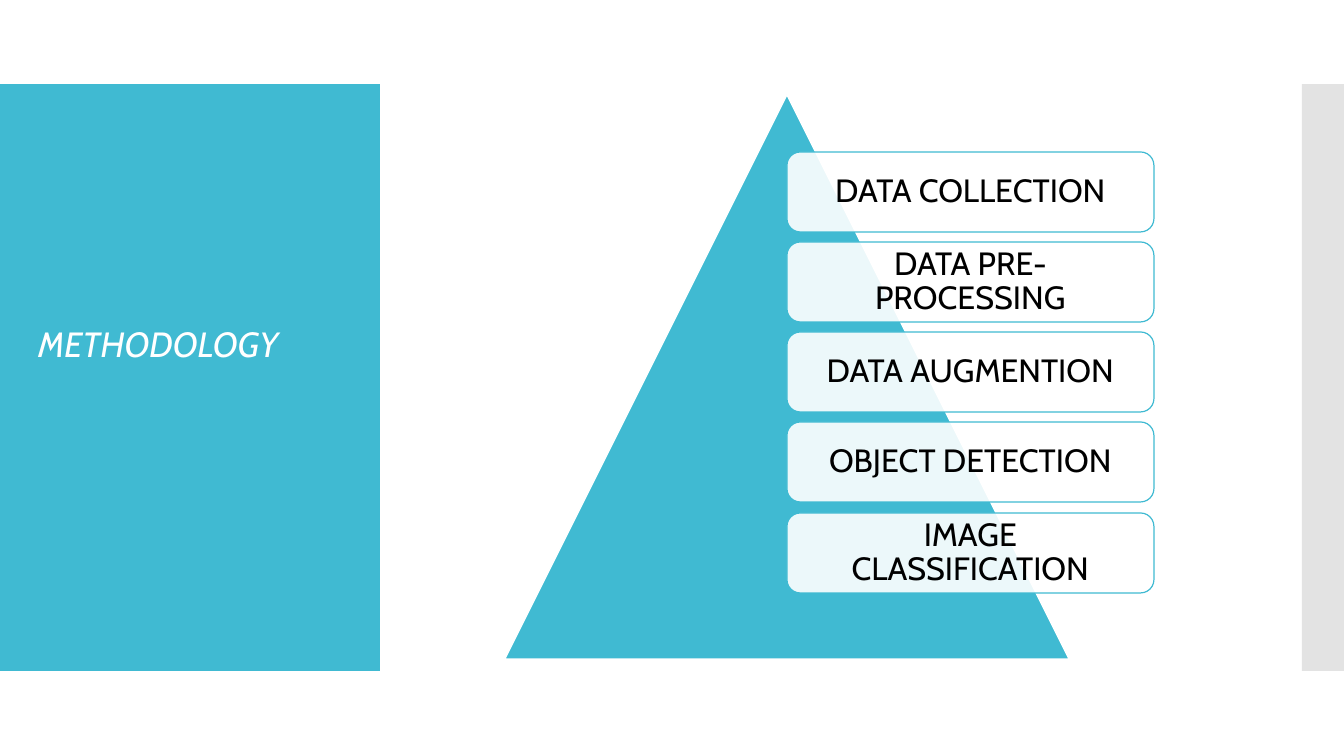
from lxml import etree
from pptx import Presentation
from pptx import util as u
from pptx.dml.color import RGBColor
from pptx.enum import shapes, text
from pptx.oxml.ns import qn

EMU_PER_PX = 914400 / 100.8
TEAL = RGBColor(0x40, 0xBA, 0xD2)
GREY = RGBColor(0xC8, 0xC8, 0xC8)
WHITE = RGBColor(0xFF, 0xFF, 0xFF)
BLACK = RGBColor(0, 0, 0)

STEPS = ["DATA COLLECTION", "DATA PRE-PROCESSING", "DATA AUGMENTION",
         "OBJECT DETECTION", "IMAGE CLASSIFICATION"]
FIRST_TOP, LAST_TOP = 152, 513


def px(n):
    return u.Emu(round(n * EMU_PER_PX))


class Deck:
    font = "Cabin"
    line_width = u.Pt(0.85)

    def __init__(self, width, height):
        self.prs = Presentation()
        self.prs.slide_width, self.prs.slide_height = px(width), px(height)
        self.slide = self.prs.slides.add_slide(self.prs.slide_layouts[5])

    def shape(self, kind, x, y, w, h, fill, line=None, opacity=100):
        sp = self.slide.shapes.add_shape(kind, px(x), px(y), px(w), px(h))
        sp.shadow.inherit = False
        sp.fill.solid()
        sp.fill.fore_color.rgb = fill
        if opacity < 100:
            color = sp._element.spPr.find(qn("a:solidFill"))[0]
            etree.SubElement(color, qn("a:alpha"), val=str(opacity * 1000))
        if line is None:
            sp.line.fill.background()
        else:
            sp.line.color.rgb = line
            sp.line.width = self.line_width
        return sp

    def label(self, sp, words, size, color, align, insets, italic=False):
        """Fill a shape with one paragraph; insets are left, top, right, bottom."""
        tf = sp.text_frame
        tf.text = words
        tf.word_wrap = True
        tf.auto_size = text.MSO_AUTO_SIZE.NONE
        tf.vertical_anchor = text.MSO_ANCHOR.MIDDLE
        tf.margin_left, tf.margin_top, tf.margin_right, tf.margin_bottom = map(px, insets)
        p = tf.paragraphs[0]
        p.alignment = align
        p.line_spacing = 0.9
        font = p.runs[0].font
        font.name, font.size, font.italic = self.font, u.Pt(size), italic
        font.color.rgb = color

    def title(self, words, x, y, w, h):
        sp = self.slide.shapes.title
        sp.left, sp.top, sp.width, sp.height = px(x), px(y), px(w), px(h)
        # The deep bottom inset lifts the title above the panel's middle.
        self.label(sp, words, 25, WHITE, text.PP_ALIGN.LEFT, (10, 5, 10, 67), italic=True)
        # Bring the title in front of the panels drawn so far.
        self.slide.shapes._spTree.append(sp._element)

    def step(self, words, x, y, w, h):
        sp = self.shape(shapes.MSO_SHAPE.ROUNDED_RECTANGLE, x, y, w, h, WHITE, TEAL, 90)
        self.label(sp, words, 23, BLACK, text.PP_ALIGN.CENTER, (13, 10, 13, 10))


def main():
    deck = Deck(1344, 756)
    deck.shape(shapes.MSO_SHAPE.RECTANGLE, 0, 84, 380, 587, TEAL)
    deck.shape(shapes.MSO_SHAPE.RECTANGLE, 1302, 84, 42, 587, GREY, opacity=50)
    deck.title("METHODOLOGY", 28, 124, 325, 507)
    deck.shape(shapes.MSO_SHAPE.ISOSCELES_TRIANGLE, 505, 95, 564, 564, TEAL, WHITE)
    for i, words in enumerate(STEPS):
        top = FIRST_TOP + i * (LAST_TOP - FIRST_TOP) // (len(STEPS) - 1)
        deck.step(words, 787, top, 367, 80)
    deck.prs.save("out.pptx")


if __name__ == "__main__":
    main()
